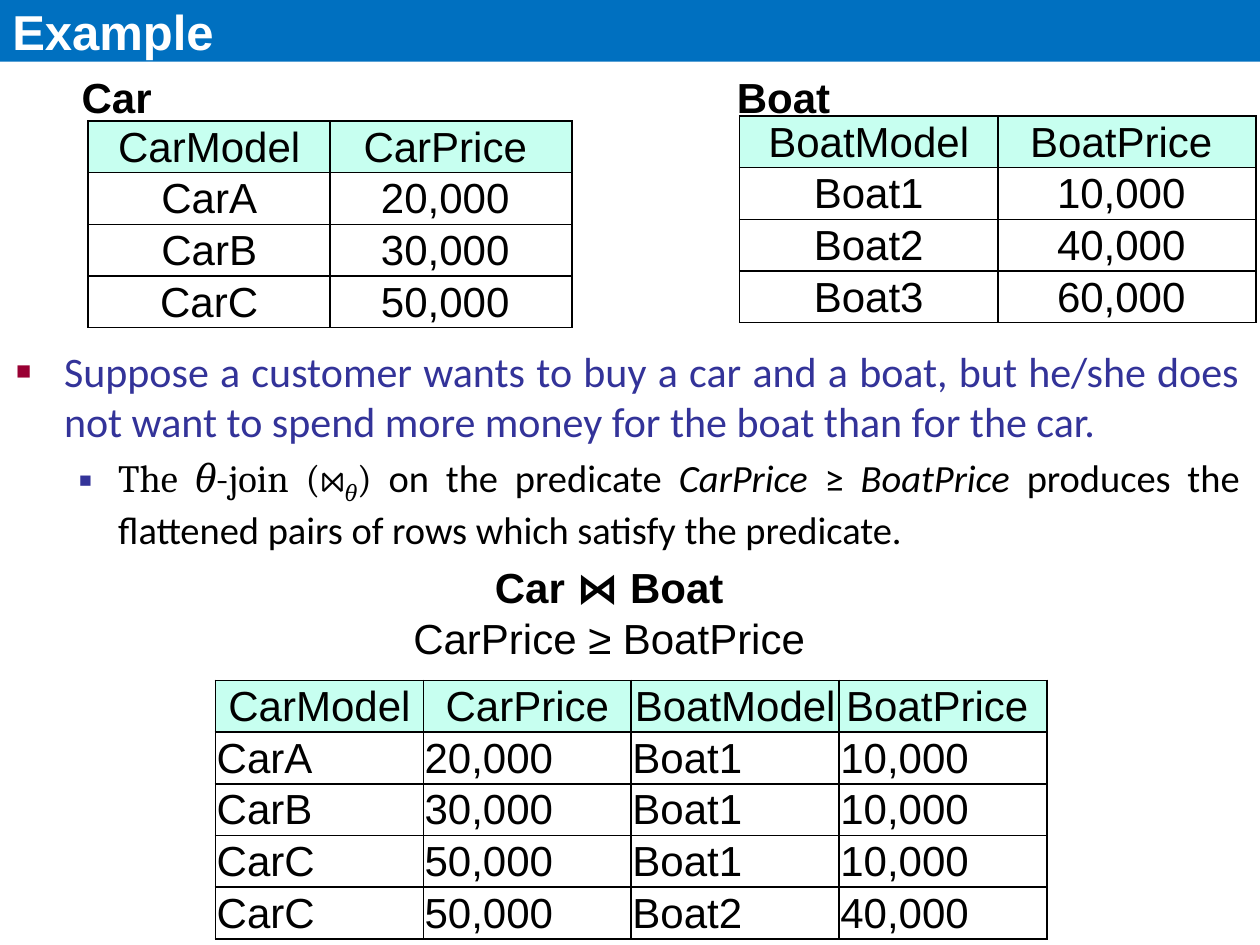
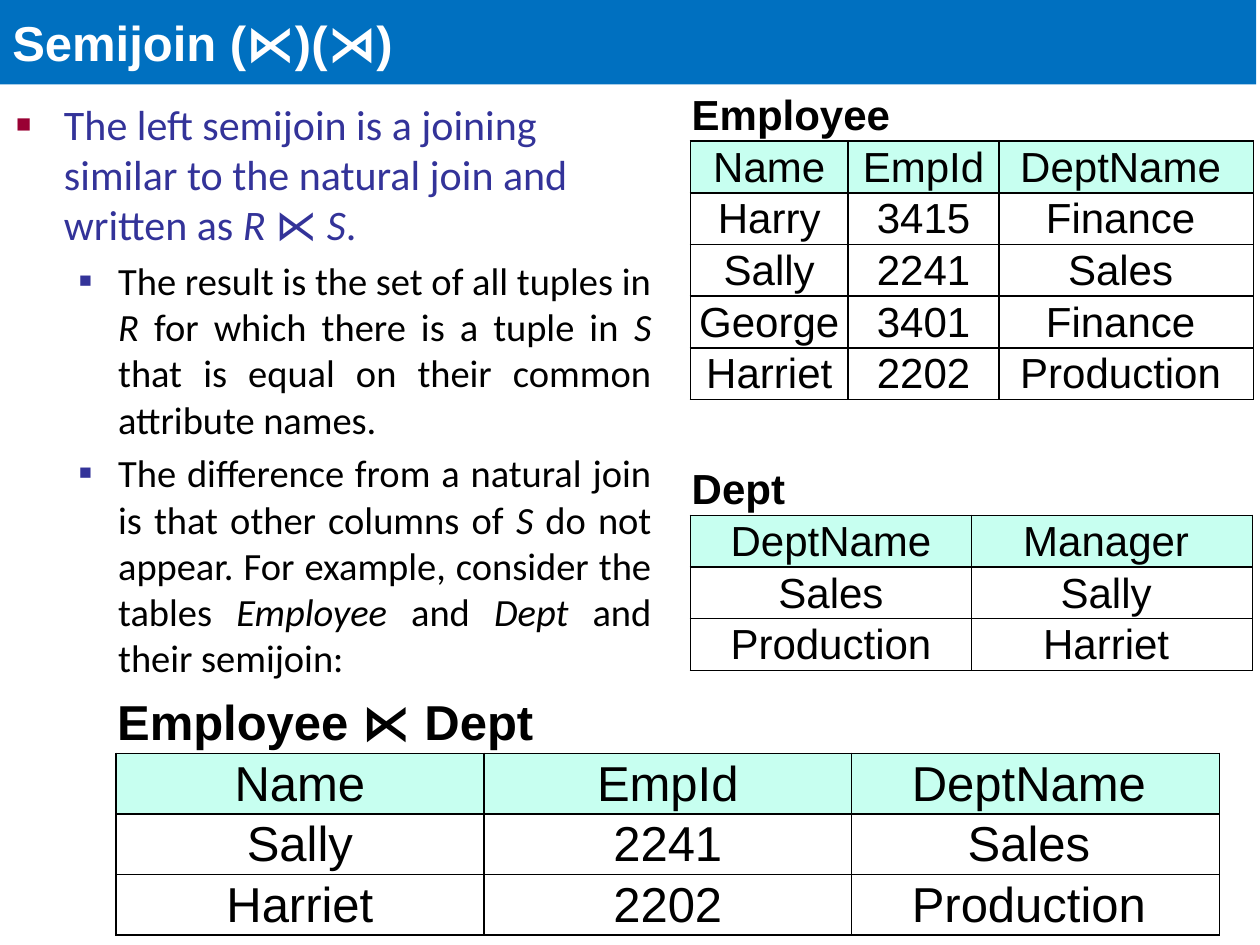
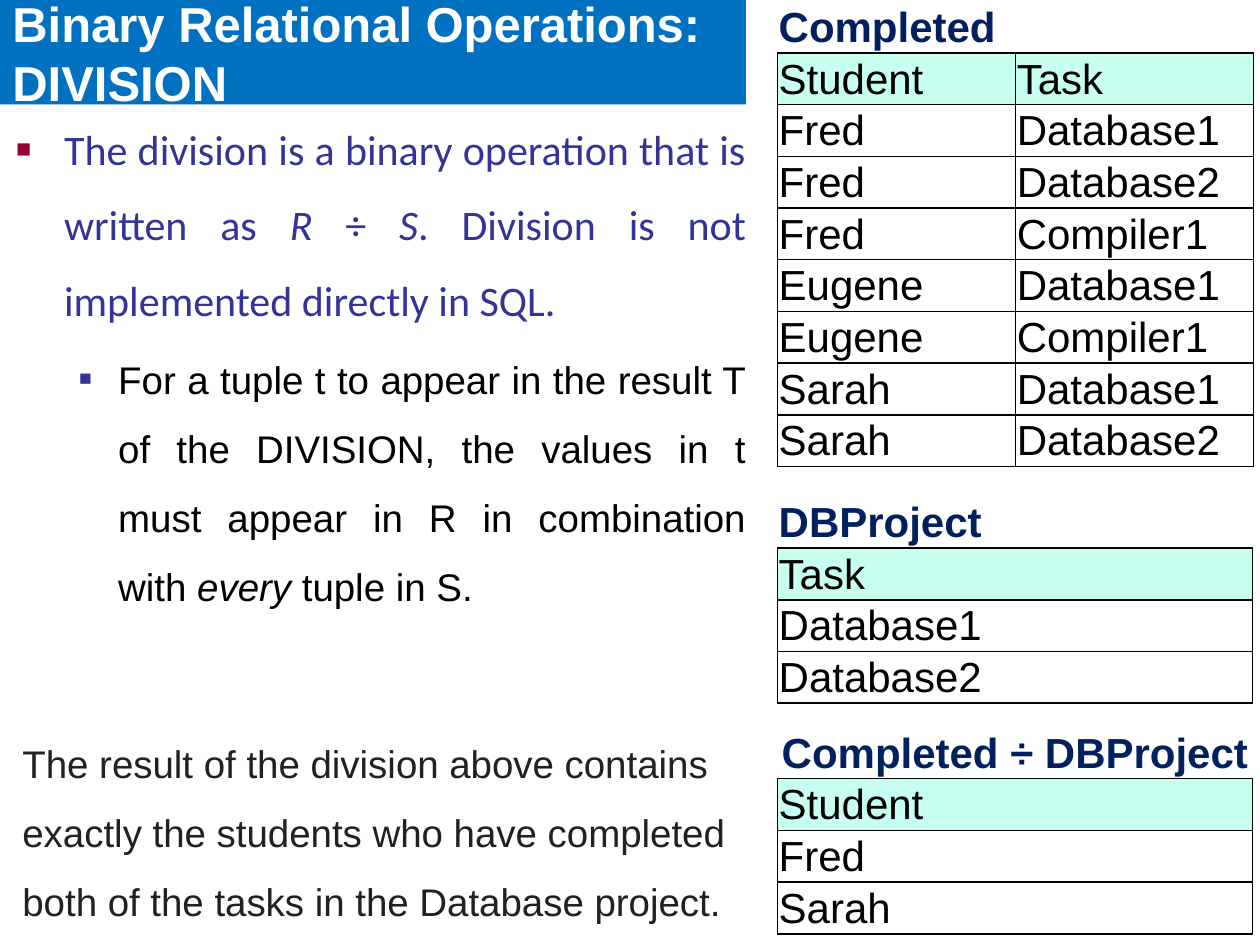
from lxml.etree import SubElement
from pptx import Presentation
from pptx.dml.color import RGBColor
from pptx.enum.shapes import MSO_SHAPE
from pptx.enum.text import MSO_ANCHOR, PP_ALIGN
from pptx.oxml.ns import qn
from pptx.util import Pt

PX = 9144  # 100 px to the inch
COLORS = {
    "band": "0070C0", "white": "FFFFFF", "black": "000000", "header": "C7FFF0",
    "point": "333399", "point_bullet": "990033", "navy": "002060", "note": "202122",
}
LEFT, CENTER, JUSTIFY = PP_ALIGN.LEFT, PP_ALIGN.CENTER, PP_ALIGN.JUSTIFY

# Shared text styles
BASE = {"name": "Arial", "size": 24, "bold": False, "italic": False, "color": "black"}
TITLE = BASE | {"size": 28, "bold": True, "color": "white"}
LABEL = BASE | {"bold": True}
NOTE = BASE | {"size": 22, "color": "note"}
LEVELS = [
    {"font": BASE | {"name": "Calibri", "color": "point"},
     "margin": 38, "indent": -38, "bullet": "point_bullet", "bullet_size": 60},
    {"font": BASE | {"name": "Calibri", "size": 22},
     "margin": 81, "indent": -31, "bullet": "point", "bullet_size": 55},
]
ITALIC = {"italic": True}
CAMBRIA = {"name": "Cambria"}
ARIAL = {"name": "Arial"}
THETA = CAMBRIA | ITALIC

# Content: a run is a string or (string, style changes); table cells are split at "|"
SLIDES = [
    {
        "title": ("Example", 1000, 49),
        "body": {
            "at": (3, 269, 981, 179),
            "points": [
                (0, JUSTIFY, ["Suppose a customer wants to buy a car and a boat, but he/she does "
                              "not want to spend more money for the boat than for the car."]),
                (1, JUSTIFY, [("The ", CAMBRIA), ("θ", THETA), ("-join (⋈", CAMBRIA),
                              ("θ", THETA | {"baseline": -25000}), (")", CAMBRIA),
                              " on the predicate ", ("CarPrice", ITALIC), " ≥ ",
                              ("BoatPrice", ITALIC),
                              " produces the flattened pairs of rows which satisfy "
                              "the predicate."]),
            ],
        },
        "tables": [
            {"at": (70, 96), "cols": [192] * 2,
             "rows": ["CarModel|CarPrice ", "CarA|20,000 ", "CarB|30,000 ", "CarC|50,000 "]},
            {"at": (587, 92), "cols": [205] * 2,
             "rows": ["BoatModel|BoatPrice ", "Boat1|10,000 ", "Boat2|40,000 ",
                      "Boat3|60,000 "]},
            {"at": (171, 540), "cols": [165] * 4, "align": LEFT,
             "rows": ["CarModel|CarPrice|BoatModel|BoatPrice ",
                      "CarA|20,000|Boat1|10,000", "CarB|30,000|Boat1|10,000",
                      "CarC|50,000|Boat1|10,000", "CarC|50,000|Boat2|40,000"]},
        ],
        "labels": [
            {"at": (317, 441, 333, 91), "align": CENTER,
             "lines": [["Car ⋈ Boat"], [("CarPrice ≥ BoatPrice", {"bold": False})]]},
            {"at": (55, 52, 76, 50), "wrap": False, "lines": [["Car"]]},
            {"at": (575, 52, 95, 50), "wrap": False, "lines": [["Boat"]]},
        ],
    },
    {
        "title": ("Semijoin (⋉)(⋊)", 997, 67),
        "body": {
            "at": (3, 73, 514, 295),
            "points": [
                (0, LEFT, ["The left semijoin is a joining similar to the natural join and "
                           "written as ", ("R", ITALIC), " ⋉ ", ("S", ITALIC), "."]),
                (1, JUSTIFY, ["The result is the set of all tuples in ", ("R", ITALIC),
                              " for which there is a tuple in ", ("S", ITALIC),
                              " that is equal on their common attribute names."]),
                (1, JUSTIFY, ["The difference from a natural join is that other columns of ",
                              ("S", ITALIC),
                              " do not appear. For example, consider the tables ",
                              ("Employee", ITALIC), " and ", ("Dept", ITALIC),
                              " and their semijoin:"]),
            ],
        },
        "tables": [
            {"at": (548, 71), "cols": [125, 120, 202], "caption": "Employee",
             "rows": ["Name|EmpId|DeptName ", "Harry|3415|Finance ", "Sally|2241|Sales ",
                      "George|3401|Finance ", "Harriet|2202|Production "]},
            {"at": (548, 368), "cols": [223] * 2, "caption": "Dept",
             "rows": ["DeptName|Manager ", "Sales|Sally ", "Production|Harriet "]},
            {"at": (92, 550), "cols": [292] * 3, "caption": "Employee ⋉ Dept",
             "size": 28, "row_height": 48,
             "rows": ["Name|EmpId|DeptName ", "Sally|2241|Sales ",
                      "Harriet|2202|Production "]},
        ],
    },
    {
        "title": ("Binary Relational Operations: DIVISION", 592, 83),
        "body": {
            "at": (3, 73, 589, 673), "line_spacing": 1.5,
            "points": [
                (0, JUSTIFY, ["The division is a binary operation that is written as ",
                              ("R", ITALIC), " ÷ ", ("S", ITALIC),
                              ". Division is not implemented directly in SQL."]),
                (1, JUSTIFY, [("For a tuple t to appear in the result T of the DIVISION, the "
                               "values in t must appear in R in combination with ", ARIAL),
                              ("every", ARIAL | ITALIC), (" tuple in S.", ARIAL)]),
            ],
        },
        "tables": [
            {"at": (617, 1), "cols": [189] * 2, "caption": "Completed",
             "caption_color": "navy", "header_align": LEFT, "align": LEFT,
             "rows": ["Student|Task", "Fred|Database1", "Fred|Database2", "Fred|Compiler1",
                      "Eugene|Database1", "Eugene|Compiler1", "Sarah|Database1",
                      "Sarah|Database2"]},
            {"at": (617, 394), "cols": [377], "caption": "DBProject",
             "caption_color": "navy", "header_align": LEFT, "align": LEFT,
             "rows": ["Task", "Database1", "Database2"]},
            {"at": (617, 577), "cols": [377], "caption": "Completed ÷ DBProject ",
             "caption_color": "navy", "caption_align": CENTER,
             "header_align": LEFT, "align": LEFT,
             "rows": ["Student", "Fred", "Sarah"]},
        ],
        "labels": [
            {"at": (8, 564, 583, 170), "style": NOTE, "line_spacing": 1.5,
             "lines": [["The result of the division above contains exactly the students who "
                        "have completed both of the tasks in the Database project."]]},
        ],
    },
]


def rgb(name):
    return RGBColor.from_string(COLORS[name])


def emu(lengths):
    return [length * PX for length in lengths]


def write(paragraph, runs, style, **layout):
    for key, value in layout.items():
        setattr(paragraph, key, value)
    for item in runs:
        text, changes = (item, {}) if isinstance(item, str) else item
        look = style | changes
        run = paragraph.add_run()
        run.text = text
        for key in ("name", "bold", "italic"):
            setattr(run.font, key, look[key])
        run.font.size = Pt(look["size"])
        run.font.color.rgb = rgb(look["color"])
        if "baseline" in look:
            run.font._element.set("baseline", str(look["baseline"]))


def paragraphs(frame, count):
    return [frame.paragraphs[0]] + [frame.add_paragraph() for _ in range(count - 1)]


def add_title(slide, text, width, height):
    band = slide.shapes.add_shape(MSO_SHAPE.RECTANGLE, *emu((0, 0, width, height)))
    band.shadow.inherit = False
    band.fill.solid()
    band.fill.fore_color.rgb = rgb("band")
    band.line.fill.background()
    band.text_frame.word_wrap = True
    band.text_frame.vertical_anchor = MSO_ANCHOR.MIDDLE
    write(band.text_frame.paragraphs[0], [text], TITLE, alignment=LEFT)


def add_bullet(paragraph, level):
    props = paragraph._p.get_or_add_pPr()
    props.set("marL", str(level["margin"] * PX))
    props.set("indent", str(level["indent"] * PX))
    color = SubElement(props, qn("a:buClr"))
    SubElement(color, qn("a:srgbClr"), val=COLORS[level["bullet"]])
    SubElement(props, qn("a:buSzPct"), val=str(level["bullet_size"] * 1000))
    SubElement(props, qn("a:buFont"), typeface="Arial")
    SubElement(props, qn("a:buChar"), char="■")


def add_body(slide, at, points, line_spacing=1.0):
    frame = slide.shapes.add_textbox(*emu(at)).text_frame
    frame.word_wrap = True
    frame.margin_right = 0
    for i, (depth, align, runs) in enumerate(points):
        paragraph = paragraphs(frame, 1)[0] if i == 0 else frame.add_paragraph()
        level = LEVELS[depth]
        add_bullet(paragraph, level)
        gap = Pt(level["font"]["size"] * 0.2) if i else 0
        write(paragraph, runs, level["font"], level=depth, alignment=align,
              line_spacing=line_spacing, space_before=gap)


def add_label(slide, at, lines, style=LABEL, align=LEFT, wrap=True, line_spacing=1.0):
    frame = slide.shapes.add_textbox(*emu(at)).text_frame
    frame.word_wrap = wrap
    for paragraph, runs in zip(paragraphs(frame, len(lines)), lines):
        write(paragraph, runs, style, alignment=align, line_spacing=line_spacing)


def set_cell(cell, text, style, align, fill=None, outline="black"):
    margins = {"margin_left": PX, "margin_right": PX, "margin_top": PX, "margin_bottom": 0}
    for key, value in margins.items():
        setattr(cell, key, value)
    cell.vertical_anchor = MSO_ANCHOR.MIDDLE
    write(cell.text_frame.paragraphs[0], [text] if text else [], style, alignment=align)
    # Borders come before the fill in the cell properties
    props = cell._tc.get_or_add_tcPr()
    for side in ("lnL", "lnR", "lnT", "lnB"):
        color = "black" if side == "lnB" else outline
        line = SubElement(props, qn(f"a:{side}"), w=str(Pt(1)))
        SubElement(SubElement(line, qn("a:solidFill")), qn("a:srgbClr"), val=COLORS[color])
    if fill:
        cell.fill.solid()
        cell.fill.fore_color.rgb = rgb(fill)
    else:
        cell.fill.background()


def add_grid(slide, at, cols, rows, caption=None, caption_color="black", caption_align=LEFT,
             header_align=CENTER, align=CENTER, size=24, row_height=39):
    top_rows = 1 if caption else 0
    count = len(rows) + top_rows
    grid = slide.shapes.add_table(
        count, len(cols), *emu((*at, sum(cols), count * row_height))).table
    grid.first_row = grid.horz_banding = False
    for column, width in zip(grid.columns, cols):
        column.width = width * PX
    for row in grid.rows:
        row.height = row_height * PX
    style = BASE | {"size": size}

    # Caption row across the full width
    if caption:
        heading = style | {"bold": True, "color": caption_color}
        for c in range(len(cols)):
            set_cell(grid.cell(0, c), "" if c else caption, heading, caption_align,
                     outline="white")
        if len(cols) > 1:
            grid.cell(0, 0).merge(grid.cell(0, len(cols) - 1))

    # Header and data rows
    for r, row in enumerate(rows):
        for c, text in enumerate(row.split("|")):
            set_cell(grid.cell(r + top_rows, c), text, style,
                     align if r else header_align, None if r else "header")


def main():
    deck = Presentation()
    deck.slide_width, deck.slide_height = emu((1000, 750))
    for content in SLIDES:
        slide = deck.slides.add_slide(deck.slide_layouts[6])
        add_title(slide, *content["title"])
        add_body(slide, **content["body"])
        for table in content["tables"]:
            add_grid(slide, **table)
        for label in content.get("labels", []):
            add_label(slide, **label)
    deck.save("out.pptx")


if __name__ == "__main__":
    main()
